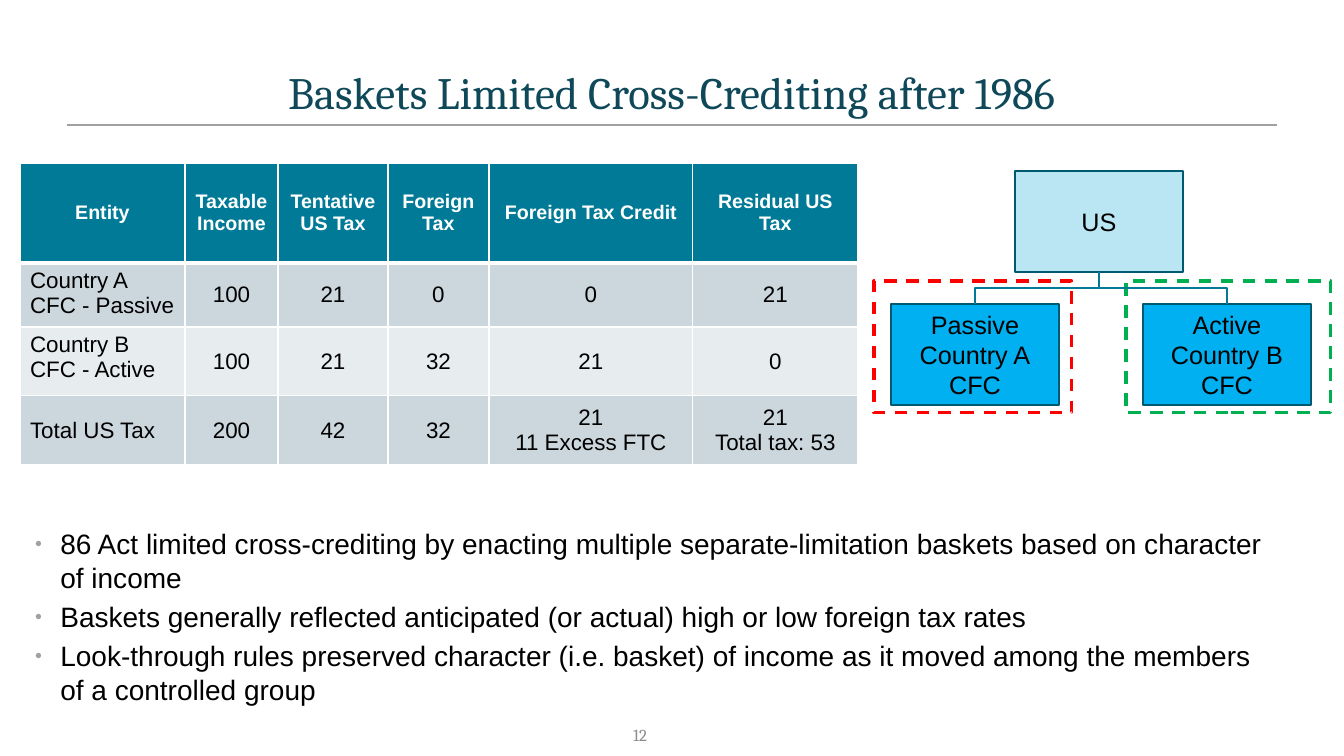
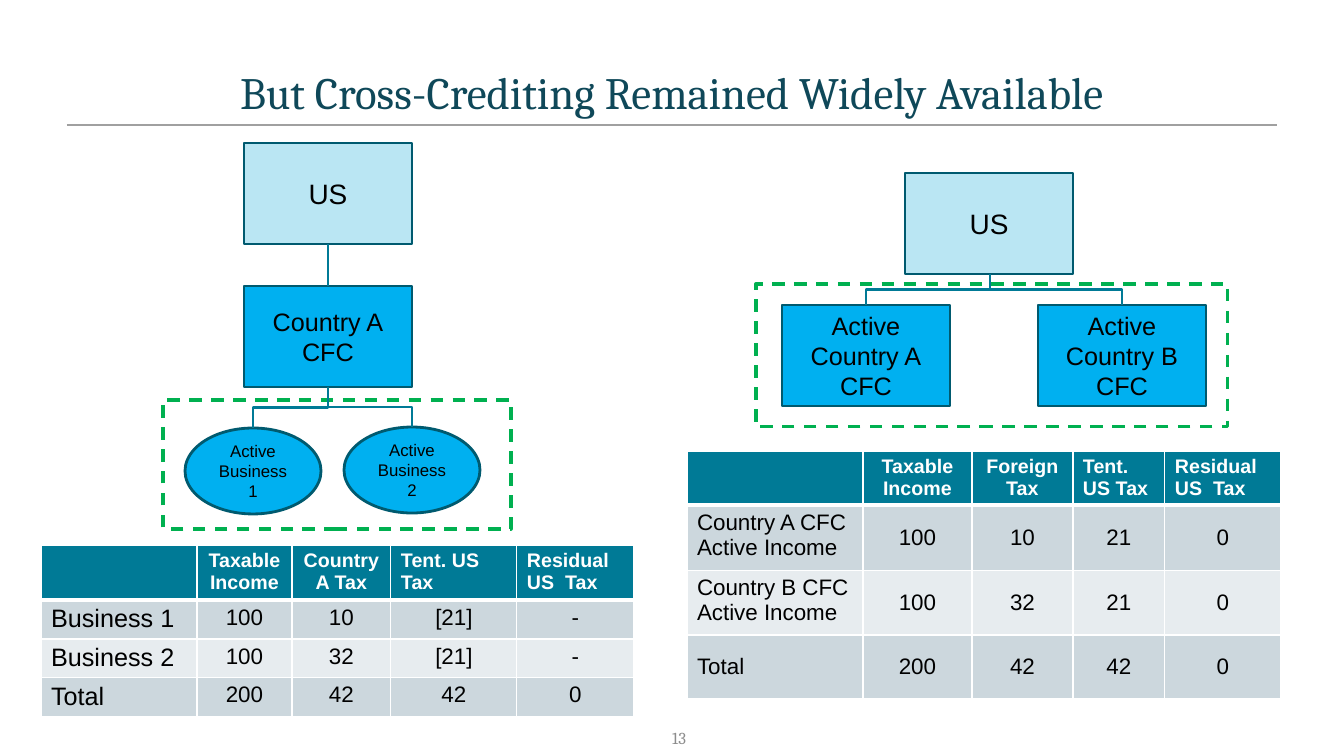
"""Build two slides on cross-crediting of foreign taxes."""
from lxml.etree import SubElement
from pptx import Presentation
from pptx.dml.color import RGBColor
from pptx.enum.dml import MSO_LINE
from pptx.enum.shapes import MSO_CONNECTOR, MSO_SHAPE
from pptx.enum.text import MSO_ANCHOR, MSO_AUTO_SIZE, PP_ALIGN
from pptx.oxml.ns import qn
from pptx.util import Pt

LEFT, CENTER, RIGHT = PP_ALIGN.LEFT, PP_ALIGN.CENTER, PP_ALIGN.RIGHT
TOP, MIDDLE = MSO_ANCHOR.TOP, MSO_ANCHOR.MIDDLE
RECT, OVAL = MSO_SHAPE.RECTANGLE, MSO_SHAPE.OVAL
STRAIGHT, ELBOW = MSO_CONNECTOR.STRAIGHT, MSO_CONNECTOR.ELBOW
DASH = MSO_LINE.DASH
FIXED = MSO_AUTO_SIZE.NONE

BLACK = RGBColor(0x00, 0x00, 0x00)
WHITE = RGBColor(0xFF, 0xFF, 0xFF)
NAVY = RGBColor(0x0F, 0x48, 0x59)
TEAL = RGBColor(0x00, 0x7A, 0x96)
DEEP = RGBColor(0x00, 0x5A, 0x6F)
SKY = RGBColor(0x00, 0xB0, 0xF0)
PALE = RGBColor(0xBA, 0xE6, 0xF3)
RED = RGBColor(0xFF, 0x00, 0x00)
GREEN = RGBColor(0x00, 0xB0, 0x50)
RULE = RGBColor(0xA0, 0xA0, 0xA0)
GRAY = RGBColor(0x8C, 0x8C, 0x8C)
BANDS = [RGBColor(0xE7, 0xEC, 0xEF), RGBColor(0xCC, 0xD7, 0xDD)]

BOX = (168, 101)
EGG = (136, 86)


def px(*sizes):
    """Turn pixels into EMU."""
    return [round(size * 914400 / 100.8) for size in sizes]


def write(frame, text, size=18, font="Arial", color=BLACK, bold=False,
          align=CENTER, anchor=MIDDLE, bullet=False):
    """Fill a text frame with one paragraph for each line of text."""
    frame.word_wrap = True
    frame.vertical_anchor = anchor
    for i, line in enumerate(text.split("\n")):
        para = frame.paragraphs[0] if i == 0 else frame.add_paragraph()
        para.alignment = align
        run = para.add_run()
        run.text = line
        run.font.size = Pt(size)
        run.font.name = font
        run.font.bold = bold
        run.font.color.rgb = color
        if bullet:
            para.space_before = Pt(size * 0.2)
            props = para._p.get_or_add_pPr()
            props.set("marL", "457200")
            props.set("indent", "-228600")
            tint = SubElement(props, qn("a:buClr"))
            SubElement(tint, qn("a:srgbClr"), val=str(RULE))
            SubElement(props, qn("a:buSzPct"), val="70000")
            SubElement(props, qn("a:buFont"), typeface="Arial")
            SubElement(props, qn("a:buChar"), char="•")


PAGES = [
    dict(
        title="Baskets Limited Cross-Crediting after 1986",
        number="12", foot=(589, 726),
        frames=[(874, 281, 198, 132, RED), (1126, 281, 205, 132, GREEN)],
        boxes=[
            (RECT, 1015, 171, BOX, PALE, "US", 18),
            (RECT, 891, 304, BOX, SKY, "Passive Country A\nCFC", 18),
            (RECT, 1143, 304, BOX, SKY, "Active Country B\nCFC", 18),
        ],
        links=[(1099, 272, 975, 304), (1099, 272, 1227, 304)],
        tables=[dict(
            at=(20, 163), cols=[165, 93, 110, 101, 204, 165],
            rows=[100, 64, 69, 69], head=MIDDLE, body=MIDDLE,
            label=16, centred=6,
            cells=[
                ["Entity", "Taxable Income", "Tentative US Tax",
                 "Foreign Tax", "Foreign Tax Credit", "Residual US Tax"],
                ["Country A CFC - Passive", "100", "21", "0", "0", "21"],
                ["Country B CFC - Active", "100", "21", "32", "21", "0"],
                ["Total US Tax", "200", "42", "32", "21\n11 Excess FTC",
                 "21\nTotal tax: 53"],
            ])],
        points="86 Act limited cross-crediting by enacting multiple "
               "separate-limitation baskets based on character of income\n"
               "Baskets generally reflected anticipated (or actual) high or "
               "low foreign tax rates\n"
               "Look-through rules preserved character (i.e. basket) of "
               "income as it moved among the members of a controlled group",
    ),
    dict(
        title="But Cross-Crediting Remained Widely Available",
        number="13", foot=(628, 729),
        frames=[(756, 284, 472, 143, GREEN), (163, 400, 348, 129, GREEN)],
        boxes=[
            (RECT, 244, 143, BOX, PALE, "US", 20),
            (RECT, 244, 286, BOX, SKY, "Country A\nCFC", 18),
            (OVAL, 185, 428, EGG, SKY, "Active Business 1", 12),
            (OVAL, 344, 427, EGG, SKY, "Active Business 2", 12),
            (RECT, 905, 173, BOX, PALE, "US", 20),
            (RECT, 782, 305, BOX, SKY, "Active Country A\nCFC", 18),
            (RECT, 1038, 305, BOX, SKY, "Active Country B\nCFC", 18),
        ],
        links=[(328, 244, 328, 286),
               (328, 387, 253, 428), (328, 387, 412, 427),
               (990, 274, 866, 305), (990, 274, 1122, 305)],
        tables=[
            dict(at=(41, 545), cols=[156, 95, 99, 126, 117],
                 rows=[55, 39, 38, 39], head=TOP, body=TOP,
                 label=18, centred=3,
                 cells=[
                     ["", "Taxable Income", "Country A Tax", "Tent. US Tax",
                      "Residual US  Tax"],
                     ["Business 1", "100", "10", "[21]", "-"],
                     ["Business 2", "100", "32", "[21]", "-"],
                     ["Total", "200", "42", "42", "0"],
                 ]),
            dict(at=(687, 451), cols=[176, 109, 101, 92, 116],
                 rows=[53, 65, 65, 64], head=TOP, body=MIDDLE,
                 label=16, centred=3,
                 cells=[
                     ["", "Taxable Income", "Foreign Tax", "Tent. US Tax",
                      "Residual US  Tax"],
                     ["Country A CFC Active Income", "100", "10", "21", "0"],
                     ["Country B CFC Active Income", "100", "32", "21", "0"],
                     ["Total", "200", "42", "42", "0"],
                 ]),
        ],
        points="",
    ),
]

deck = Presentation()
deck.slide_width, deck.slide_height = px(1344, 756)

for page in PAGES:
    slide = deck.slides.add_slide(deck.slide_layouts[5])
    shapes = slide.shapes

    title = shapes.title
    title.left, title.top, title.width, title.height = px(67, 58, 1210, 68)
    title.text_frame.auto_size = FIXED
    write(title.text_frame, page["title"], size=32, font="Cambria", color=NAVY)

    for x, y, w, h, color in page["frames"]:
        frame = shapes.add_shape(RECT, *px(x, y, w, h))
        frame.shadow.inherit = False
        frame.fill.solid()
        frame.fill.fore_color.rgb = WHITE
        frame.line.color.rgb = color
        frame.line.width = Pt(2.25)
        frame.line.dash_style = DASH

    for kind, x, y, size, fill, text, points in page["boxes"]:
        box = shapes.add_shape(kind, *px(x, y, *size))
        box.shadow.inherit = False
        box.fill.solid()
        box.fill.fore_color.rgb = fill
        box.line.color.rgb = DEEP
        box.line.width = Pt(2)
        write(box.text_frame, text, size=points)

    lines = [(67, 125, 1277, 125, RULE, 1)]
    lines += [(*link, TEAL, 1.5) for link in page["links"]]
    for x1, y1, x2, y2, color, width in lines:
        if x1 == x2 or y1 == y2:
            line = shapes.add_connector(STRAIGHT, *px(x1, y1, x2, y2))
        else:
            side = 1 if x2 > x1 else -1
            mid, level = (x1 + x2) / 2, (y1 + y2) / 2
            drop, reach = side * (y2 - y1) / 2, abs(x2 - x1) / 2
            line = shapes.add_connector(ELBOW, *px(
                mid + drop, level - reach, mid - drop, level + reach))
            turn = 270 if side > 0 else 90
            line._element.spPr.xfrm.set("rot", str(turn * 60000))
        line.line.color.rgb = color
        line.line.width = Pt(width)
        SubElement(line._element.spPr, qn("a:effectLst"))

    for data in page["tables"]:
        cols, rows = data["cols"], data["rows"]
        table = shapes.add_table(len(rows), len(cols), *px(
            *data["at"], sum(cols), sum(rows))).table
        for col, width in zip(table.columns, px(*cols)):
            col.width = width
        for row, height in zip(table.rows, px(*rows)):
            row.height = height
        for r, texts in enumerate(data["cells"]):
            for c, text in enumerate(texts):
                cell = table.cell(r, c)
                props = cell._tc.get_or_add_tcPr()
                for edge in "LRTB":
                    thick = (r, edge) in [(0, "B"), (1, "T")]
                    border = SubElement(props, qn("a:ln" + edge),
                                        w=str(Pt(3 if thick else 1)))
                    paint = SubElement(border, qn("a:solidFill"))
                    SubElement(paint, qn("a:srgbClr"), val=str(WHITE))
                cell.fill.solid()
                cell.fill.fore_color.rgb = BANDS[r % 2] if r else TEAL
                if r == 0:
                    look = dict(size=14, color=WHITE, bold=True,
                                align=CENTER if c < data["centred"] else LEFT)
                    anchor = data["head"]
                else:
                    look = dict(size=16 if c else data["label"],
                                align=CENTER if c else LEFT)
                    last = r == len(rows) - 1
                    anchor = data["body"] if c or last else TOP
                write(cell.text_frame, text, **look)
                cell.vertical_anchor = anchor

    if page["points"]:
        notes = shapes.add_textbox(*px(0, 522, 1276, 200))
        write(notes.text_frame, page["points"], size=20, align=LEFT,
              anchor=TOP, bullet=True)

    foot = shapes.add_textbox(*px(*page["foot"], 58, 17))
    foot.text_frame.margin_right = 0
    write(foot.text_frame, page["number"], size=12, font="Cambria",
          color=GRAY, align=RIGHT)

deck.save("out.pptx")
